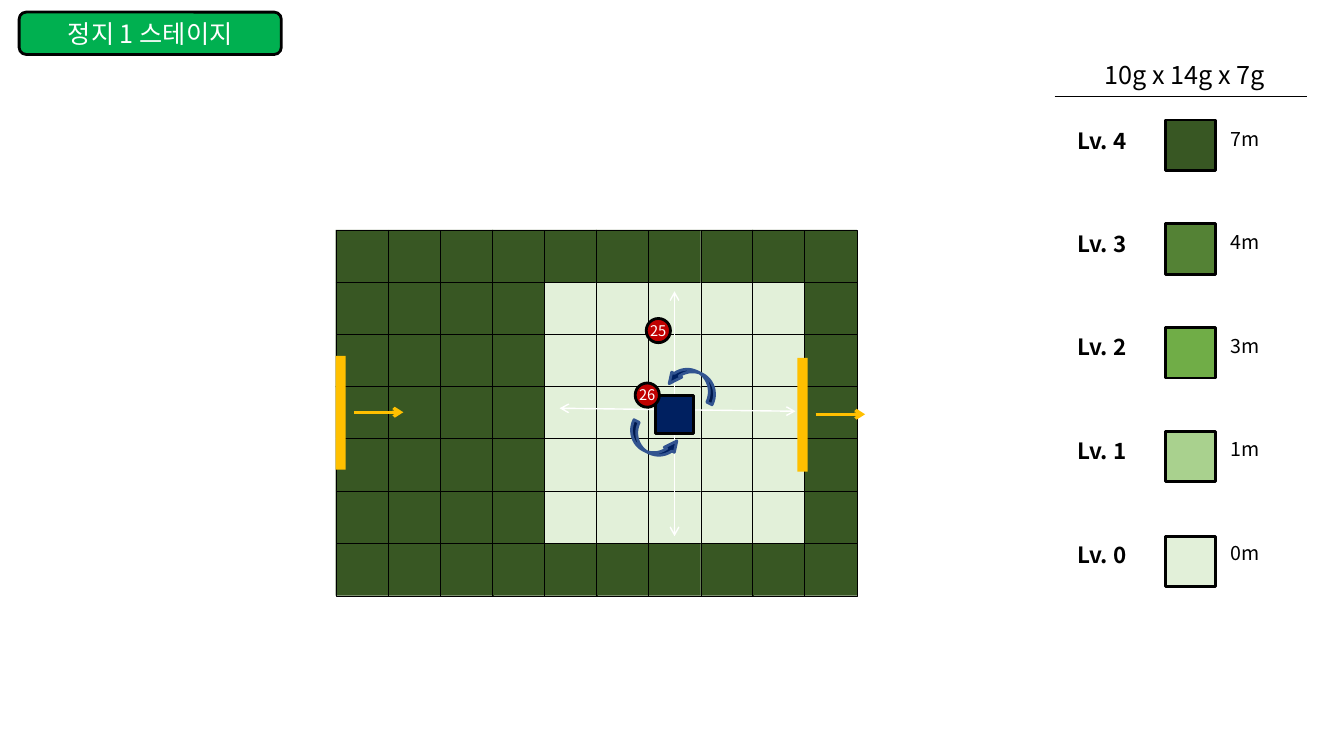
from lxml.etree import SubElement
from pptx import Presentation
from pptx.dml.color import RGBColor
from pptx.enum.shapes import MSO_CONNECTOR as Connector, MSO_SHAPE as Preset
from pptx.enum.text import MSO_ANCHOR as Anchor, MSO_AUTO_SIZE as AutoSize, PP_ALIGN as Align
from pptx.oxml.ns import qn
from pptx.util import Emu, Pt

BLACK = RGBColor(0x00, 0x00, 0x00)
WHITE = RGBColor(0xFF, 0xFF, 0xFF)
GREEN = RGBColor(0x00, 0xB0, 0x50)
GOLD = RGBColor(0xFF, 0xC0, 0x00)
NAVY = RGBColor(0x00, 0x20, 0x60)
BLUE = RGBColor(0x32, 0x54, 0x90)
RED = RGBColor(0xC0, 0x00, 0x00)
LEVEL_0 = RGBColor(0xE2, 0xF0, 0xD9)
LEVEL_1 = RGBColor(0xA9, 0xD1, 0x8E)
LEVEL_2 = RGBColor(0x70, 0xAD, 0x47)
LEVEL_3 = RGBColor(0x54, 0x82, 0x35)
LEVEL_4 = RGBColor(0x38, 0x57, 0x23)

PX = 9144
FONT = "Noto Sans CJK KR"


class StageSlide:
    """Draws styled elements on one slide, with lengths in px (100 to the inch)."""

    def __init__(self, presentation):
        self.slide = presentation.slides.add_slide(presentation.slide_layouts[6])

    def scale(self, *lengths):
        return [Emu(length * PX) for length in lengths]

    def shape(self, preset, box, fill, line=BLACK, weight=2, rotation=0, adjustments=()):
        shape = self.slide.shapes.add_shape(preset, *self.scale(*box))
        shape.shadow.inherit = False
        shape.fill.solid()
        shape.fill.fore_color.rgb = fill
        if line is None:
            shape.line.fill.background()
        else:
            shape.line.color.rgb = line
            shape.line.width = Pt(weight)
        shape.rotation = rotation
        for index, value in enumerate(adjustments):
            shape.adjustments[index] = value
        return shape

    def add_text(self, shape, text, size, color=BLACK, bold=False, align=Align.LEFT):
        shape.text_frame.word_wrap = True
        paragraph = shape.text_frame.paragraphs[0]
        paragraph.alignment = align
        run = paragraph.add_run()
        run.text = text
        run.font.name = FONT
        run.font.size = Pt(size)
        run.font.bold = bold
        run.font.color.rgb = color
        SubElement(run.font._element, qn("a:ea"), typeface=FONT)

    def label(self, box, text, size, **style):
        text_box = self.slide.shapes.add_textbox(*self.scale(*box))
        text_box.text_frame.auto_size = AutoSize.SHAPE_TO_FIT_TEXT
        self.add_text(text_box, text, size, **style)

    def line(self, ends, color, weight, arrows=()):
        connector = self.slide.shapes.add_connector(Connector.STRAIGHT, *self.scale(*ends))
        connector.line.color.rgb = color
        connector.line.width = Pt(weight)
        properties = connector._element.spPr
        for end in arrows:
            SubElement(properties.find(qn("a:ln")), qn(f"a:{end}"), type="arrow")
        SubElement(properties, qn("a:effectLst"))

    def title(self, box, text):
        badge = self.shape(Preset.ROUNDED_RECTANGLE, box, GREEN)
        badge.text_frame.vertical_anchor = Anchor.MIDDLE
        self.add_text(badge, text, 18, color=WHITE, align=Align.CENTER)

    def legend(self, levels):
        self.line((1046, 96, 1296, 96), BLACK, 1)
        self.label((1065, 54, 220, 40), "10g x 14g x 7g", 18, align=Align.CENTER)
        for index, (name, height, color) in enumerate(levels):
            text_top = 121 + 411 * index // 4
            self.shape(Preset.RECTANGLE, (1156, 119 + 413 * index // 4, 50, 50), color)
            self.label((1211, text_top, 71, 33), height, 14)
            self.label((1059, text_top, 107, 36), name, 16, bold=True)

    def field(self, columns, rows, pit_columns, pit_rows):
        for column in range(columns):
            for row in range(rows):
                in_pit = column in pit_columns and row in pit_rows
                box = ((3338 + 516 * column) // 10, (2284 + 518 * row) // 10, 52, 52)
                self.shape(Preset.RECTANGLE, box, LEVEL_0 if in_pit else LEVEL_4, weight=0.25)

    def gate(self, left, top):
        self.shape(Preset.RECTANGLE, (left, top, 10, 113), GOLD, line=None)
        middle = top + 56
        self.line((left + 18, middle, left + 67, middle), GOLD, 2.25, ["tailEnd"])

    def turn_arrow(self, left, top, rotation):
        self.shape(Preset.CURVED_UP_ARROW, (left, top, 53, 23), NAVY, line=BLUE,
                   rotation=rotation, adjustments=(0.25, 0.487, 0.488))

    def ball(self, left, top, number):
        self.shape(Preset.OVAL, (left, top, 24, 24), RED)
        self.label((left - 6, top - 2, 36, 27), number, 10.5, color=WHITE)


def main():
    presentation = Presentation()
    presentation.slide_width = Emu(1333 * PX)
    presentation.slide_height = Emu(750 * PX)
    stage = StageSlide(presentation)

    stage.legend([
        ("Lv. 4", "7m", LEVEL_4),
        ("Lv. 3", "4m", LEVEL_3),
        ("Lv. 2", "3m", LEVEL_2),
        ("Lv. 1", "1m", LEVEL_1),
        ("Lv. 0", "0m", LEVEL_0),
    ])
    stage.title((19, 12, 260, 42), "정지 1 스테이지")

    stage.field(10, 7, pit_columns=range(4, 9), pit_rows=range(1, 6))
    stage.gate(333, 353)
    stage.gate(791, 355)
    for ends in ((555, 405, 789, 408), (669, 289, 669, 532)):
        stage.line(ends, WHITE, 1, ["headEnd", "tailEnd"])

    stage.shape(Preset.RECTANGLE, (650, 392, 38, 38), NAVY)
    stage.turn_arrow(661, 368, 206.3)
    stage.turn_arrow(621, 427, 26.3)
    stage.ball(641, 316, "25")
    stage.ball(630, 380, "26")

    presentation.save("out.pptx")


if __name__ == "__main__":
    main()
